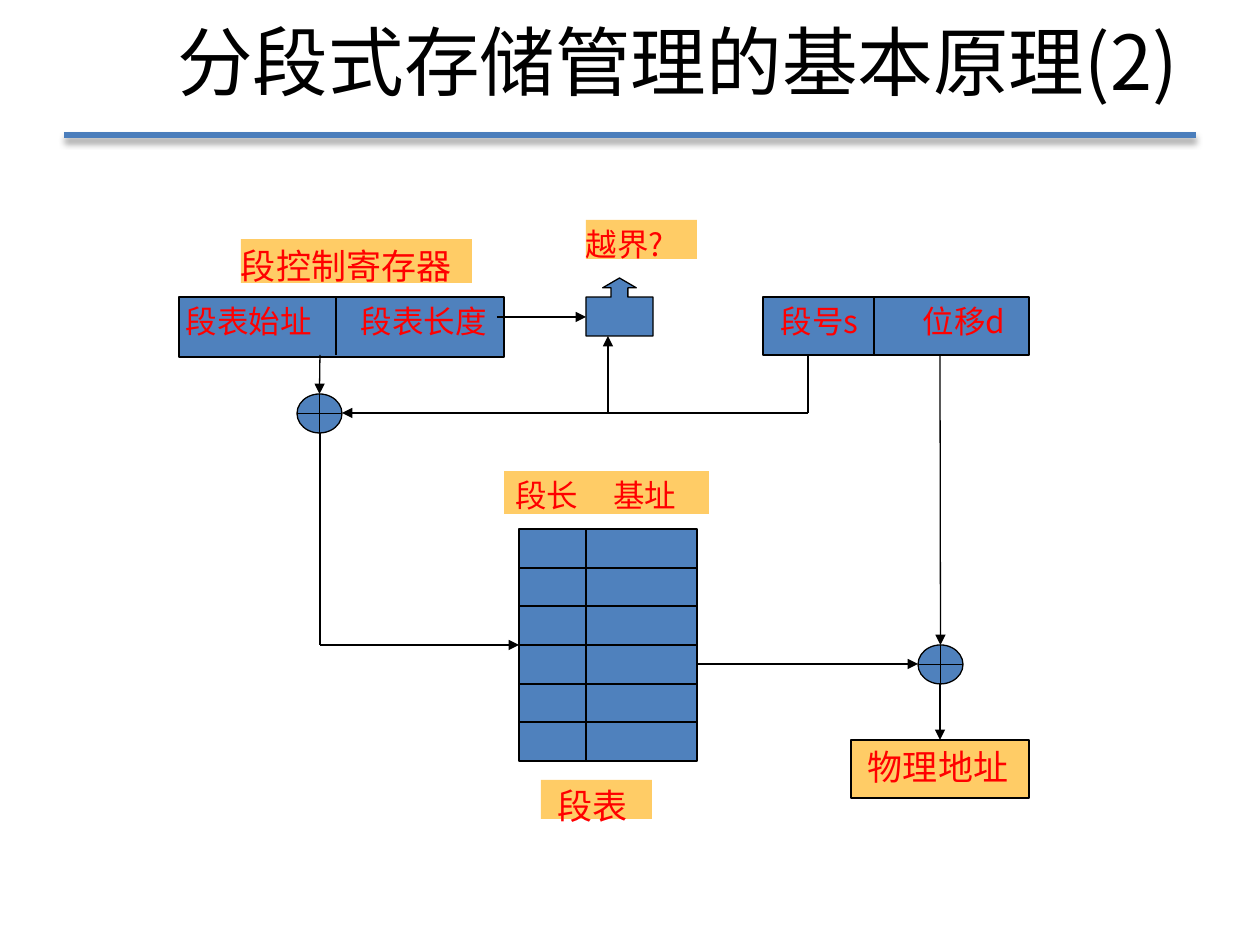
from lxml import etree
from pptx import Presentation
from pptx.dml.color import RGBColor
from pptx.enum.shapes import MSO_CONNECTOR, MSO_SHAPE
from pptx.enum.text import MSO_ANCHOR, PP_ALIGN
from pptx.oxml.ns import qn
from pptx.util import Emu, Pt

RECT = MSO_SHAPE.RECTANGLE
ADDER = MSO_SHAPE.FLOWCHART_OR
UP_CALLOUT = MSO_SHAPE.UP_ARROW_CALLOUT
STRAIGHT = MSO_CONNECTOR.STRAIGHT
TOP, MIDDLE = MSO_ANCHOR.TOP, MSO_ANCHOR.MIDDLE
CENTER, JUSTIFY = PP_ALIGN.CENTER, PP_ALIGN.JUSTIFY

FONT = "Noto Sans CJK JP"
COLORS = {
    "title": "000000",
    "rule": "4B7EBC",
    "outline": "000000",
    "block": "4F81BD",
    "label": "FFCC66",
    "text": "FF0000",
    "shadow": "000000",
}
EMU_PER_PX = 914400 / 126
TABLE_ROWS = 6


def px(length):
    """Turn pixels into EMU."""
    return Emu(round(length * EMU_PER_PX))


def color(name):
    """Look up a named colour."""
    return RGBColor.from_string(COLORS[name])


def write(shape, text, size, ink="text", align=JUSTIFY, anchor=TOP, indent=0, top=5, tab=None):
    """Write one line of text, with an optional tab stop measured from the indent."""
    frame = shape.text_frame
    frame.word_wrap = True
    frame.vertical_anchor = anchor
    frame.margin_left, frame.margin_top = px(indent), px(top)
    frame.margin_right = frame.margin_bottom = 0
    paragraph = frame.paragraphs[0]
    paragraph.text = text
    paragraph.alignment = align
    if tab:
        tabs = etree.SubElement(paragraph._p.get_or_add_pPr(), qn("a:tabLst"))
        etree.SubElement(tabs, qn("a:tab"), pos=str(px(tab)), algn="l")
    font = paragraph.font
    font.size, font.name = Pt(size), FONT
    font.color.rgb = color(ink)
    etree.SubElement(font._rPr, qn("a:ea"), typeface=FONT)


def add_block(slide, kind, left, top, width, height, fill="block", outlined=True):
    """Add a filled preset shape."""
    block = slide.shapes.add_shape(kind, px(left), px(top), px(width), px(height))
    block.shadow.inherit = False
    block.fill.solid()
    block.fill.fore_color.rgb = color(fill)
    if outlined:
        block.line.color.rgb = color("outline")
        block.line.width = Pt(0.75)
    else:
        block.line.fill.background()
    return block


def add_label(slide, left, top, width, height, text, size, **layout):
    """Add a caption on a plain coloured patch."""
    label = add_block(slide, RECT, left, top, width, height, "label", outlined=False)
    write(label, text, size, **layout)


def add_line(slide, x1, y1, x2, y2, ink="outline", weight=0.75, arrow=False, target=None, side=0):
    """Add a straight line, optionally with an arrowhead and a joined end."""
    line = slide.shapes.add_connector(STRAIGHT, px(x1), px(y1), px(x2), px(y2))
    line.line.color.rgb = color(ink)
    line.line.width = Pt(weight)
    if arrow:
        etree.SubElement(line.line._get_or_add_ln(), qn("a:tailEnd"), type="triangle")
    etree.SubElement(line._element.spPr, qn("a:effectLst"))
    if target is not None:
        line.end_connect(target, side)
    return line


def add_title(slide):
    """Add the heading and its shadowed rule."""
    rule = add_line(slide, 64, 135, 1196, 135, "rule", 3)
    effects = rule._element.spPr.find(qn("a:effectLst"))
    shadow = etree.SubElement(effects, qn("a:outerShdw"), blurRad=str(Pt(4)),
                              dist=str(Pt(3)), dir="5400000", rotWithShape="0")
    tint = etree.SubElement(shadow, qn("a:srgbClr"), val=COLORS["shadow"])
    etree.SubElement(tint, qn("a:alpha"), val="40000")
    heading = slide.shapes.add_textbox(px(95), px(6), px(1165), px(109))
    write(heading, "分段式存储管理的基本原理(2)", 43.2, "title", CENTER, MIDDLE, top=0)


def add_field_pair(slide, left, width, height, divider, text, indent, tab):
    """Add a register split into two fields."""
    top = 297
    register = add_block(slide, RECT, left, top, width, height)
    write(register, text, 18, indent=indent, tab=tab)
    add_line(slide, divider, top, divider, 355)


def add_segment_table(slide):
    """Add the segment table with its grid."""
    left, top, width, height, divider = 519, 529, 178, 232, 586
    table = add_block(slide, RECT, left, top, width, height)
    for row in range(1, TABLE_ROWS):
        y = round(top + height * row / TABLE_ROWS)
        add_line(slide, left, y, left + width, y)
    add_line(slide, divider, top, divider, top + height)
    return table


def main():
    """Build the slide."""
    deck = Presentation()
    deck.slide_width, deck.slide_height = px(1260), px(945)
    slide = deck.slides.add_slide(deck.slide_layouts[6])
    add_title(slide)

    add_label(slide, 241, 239, 231, 44, "段控制寄存器", 20)
    add_field_pair(slide, 179, 325, 60, 336, "段表始址\t段表长度", indent=7, tab=175)
    add_field_pair(slide, 763, 266, 58, 874, "段号s\t位移d", indent=18, tab=142)
    add_label(slide, 504, 471, 205, 43, "段长\t基址", 18, indent=11, tab=98)
    segment_table = add_segment_table(slide)
    add_label(slide, 541, 780, 111, 39, "段表", 20, indent=17)

    entry_adder = add_block(slide, ADDER, 297, 394, 45, 39)
    address_adder = add_block(slide, ADDER, 918, 645, 45, 39)
    physical_address = add_block(slide, RECT, 851, 740, 178, 58, "label")
    write(physical_address, "物理地址", 20, indent=17)
    bounds_check = add_block(slide, UP_CALLOUT, 586, 278, 67, 58)
    for index, ratio in enumerate((0.29, 0.29, 0.17, 0.67)):
        bounds_check.adjustments[index] = ratio
    add_label(slide, 586, 220, 111, 39, "越界?", 18)

    add_line(slide, 320, 355, 320, 394, arrow=True, target=entry_adder)
    add_line(slide, 808, 355, 808, 413)
    add_line(slide, 808, 413, 342, 413, arrow=True)
    add_line(slide, 608, 413, 608, 336, arrow=True)
    add_line(slide, 497, 317, 586, 317, arrow=True)
    add_line(slide, 320, 433, 320, 645)
    add_line(slide, 320, 645, 519, 645, arrow=True, target=segment_table, side=1)
    add_line(slide, 697, 664, 918, 664, arrow=True)
    add_line(slide, 940, 355, 940, 645, arrow=True, target=address_adder)
    add_line(slide, 940, 684, 940, 740, arrow=True, target=physical_address)
    deck.save("out.pptx")


if __name__ == "__main__":
    main()
